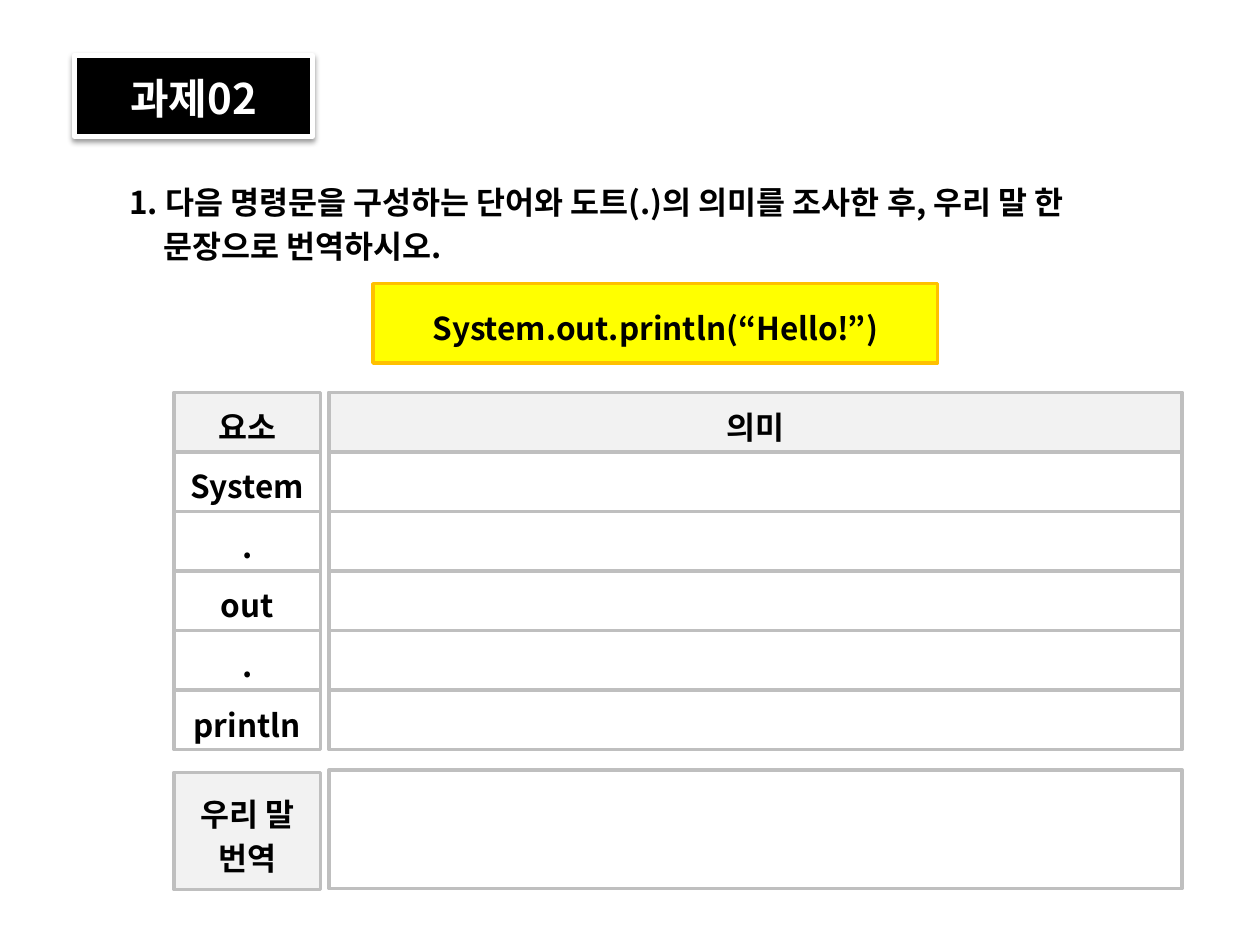
from lxml import etree
from pptx import Presentation, util as u
from pptx.dml.color import RGBColor
from pptx.enum import shapes, text
from pptx.oxml.ns import qn

FACE = "Noto Sans CJK KR"
HUES = {"black": "000000", "white": "FFFFFF", "pale": "F2F2F2",
        "gray": "BFBFBF", "yellow": "FFFF00", "gold": "FFC000"}
TITLE = "과제02"
TASK = ("1. 다음 명령문을 구성하는 단어와 도트(.)의 의미를 조사한 후, "
        "우리 말 한 문장으로 번역하시오.")
CODE = "System.out.println(“Hello!”)"
HEADS = ["요소", "의미"]
TERMS = ["System", ".", "out", ".", "println"]
LABEL = ["우리 말", "번역"]
COLS = [(3.51, 2.95), (6.63, 17.2)]
TOP, STEP = 7.91, 1.2


def color(name):
    return RGBColor.from_string(HUES[name])


def write(box, lines, size, ink, center, hang, lead):
    frame = box.text_frame
    frame.word_wrap = True
    frame.vertical_anchor = text.MSO_ANCHOR.MIDDLE
    frame.margin_left = frame.margin_right = u.Cm(0.25)
    frame.margin_top, frame.margin_bottom = u.Cm(0.2), u.Cm(0.13)
    frame.text = "\n".join(lines)
    for para in frame.paragraphs:
        para.alignment = text.PP_ALIGN.CENTER if center else text.PP_ALIGN.LEFT
        if lead:
            para.line_spacing = u.Pt(lead)
        font = para.font
        font.name, font.size, font.bold = FACE, u.Pt(size), True
        font.color.rgb = color(ink)
        props = para._p.get_or_add_pPr()
        etree.SubElement(props.find(qn("a:defRPr")), qn("a:ea"), typeface=FACE)
        if hang:
            props.set("marL", str(u.Cm(hang)))
            props.set("indent", str(-u.Cm(hang)))


def block(slide, spot, lines=(), fill=None, line=None, width=2, size=18,
          ink="black", center=True, hang=0, lead=25):
    box = slide.shapes.add_shape(shapes.MSO_SHAPE.FLOWCHART_PROCESS,
                                 *map(u.Cm, spot))
    box.shadow.inherit = False
    if fill:
        box.fill.solid()
        box.fill.fore_color.rgb = color(fill)
    else:
        box.fill.background()
    if line:
        box.line.color.rgb = color(line)
        box.line.width = u.Pt(width)
    else:
        box.line.fill.background()
    if lines:
        write(box, lines, size, ink, center, hang, lead)
    return box


def shade(box):
    glow = etree.SubElement(box._element.spPr.find(qn("a:effectLst")),
                            qn("a:outerShdw"), blurRad="40000", dist="20000",
                            dir="5400000", rotWithShape="0")
    tone = etree.SubElement(glow, qn("a:srgbClr"), val=HUES["black"])
    etree.SubElement(tone, qn("a:alpha"), val="38000")


def cell(slide, col, top, high, lines=(), fill="white"):
    left, wide = COLS[col]
    block(slide, (left, top, wide, high), lines, fill, "gray", hang=0.69)


def main():
    deck = Presentation()
    deck.slide_width, deck.slide_height = u.Cm(25.4), u.Cm(19.05)
    slide = deck.slides.add_slide(deck.slide_layouts[6])

    shade(block(slide, (1.5, 1.12, 4.8, 1.63), [TITLE], "black", "white",
                width=3, size=24, ink="white", lead=None))
    block(slide, (2.36, 3.12, 21.69, 2.59), [TASK], center=False, hang=0.69)
    block(slide, (7.52, 5.72, 11.38, 1.6), [CODE], "yellow", "gold")

    for row, term in enumerate(TERMS, 1):
        top = TOP + row * STEP
        cell(slide, 0, top, STEP, [term])
        cell(slide, 1, top, STEP)
    for col, head in enumerate(HEADS):
        cell(slide, col, TOP, STEP, [head], "pale")
    cell(slide, 1, 15.52, 2.39)
    cell(slide, 0, 15.57, 2.36, LABEL, "pale")
    deck.save("out.pptx")


if __name__ == "__main__":
    main()
